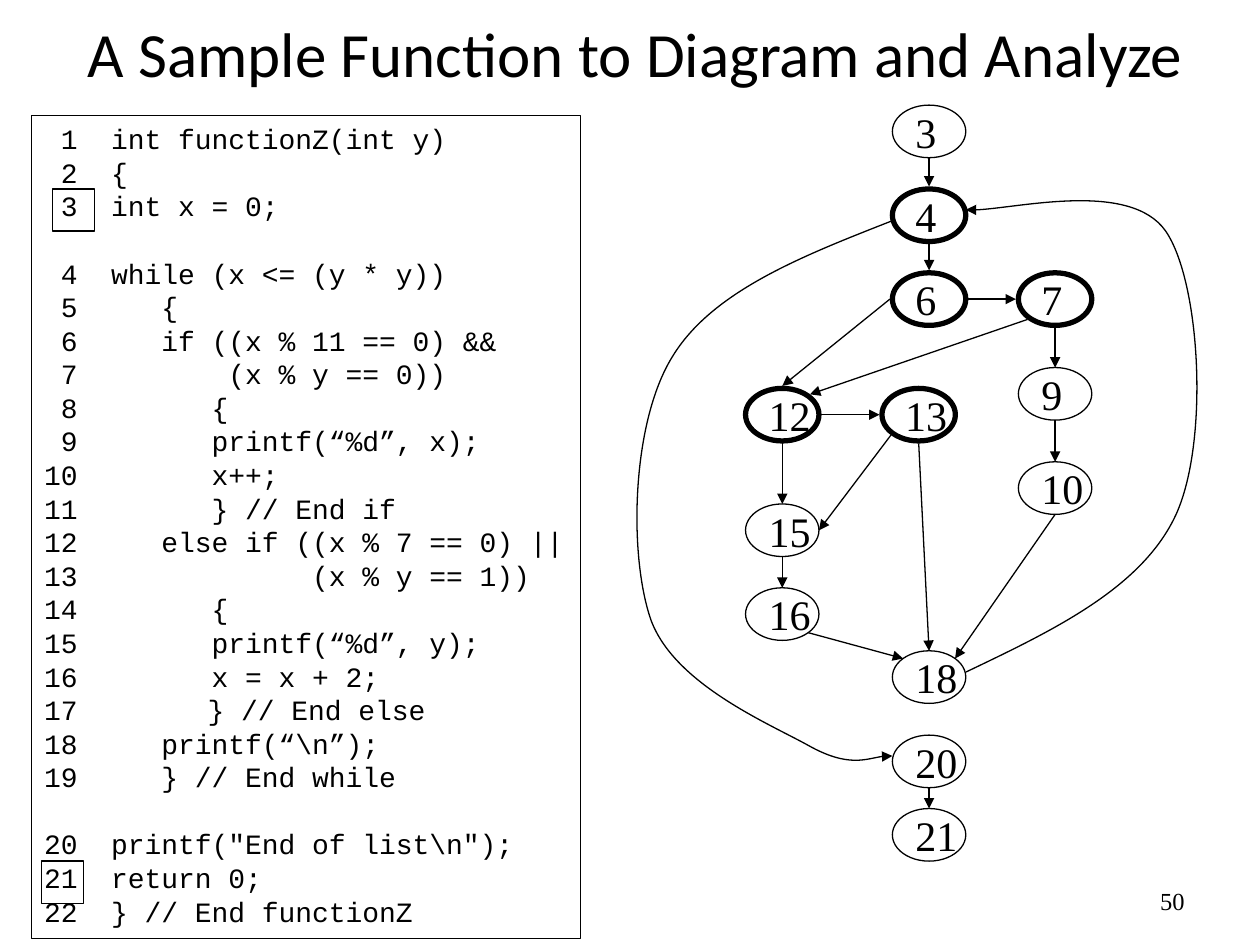
from math import sqrt

from lxml.etree import SubElement
from pptx import Presentation
from pptx.dml.color import RGBColor
from pptx.enum.shapes import MSO_CONNECTOR, MSO_SHAPE
from pptx.enum.text import MSO_ANCHOR as Anchor, PP_ALIGN as Align
from pptx.oxml.ns import qn
from pptx.util import Cm, Pt

BLACK = RGBColor(0, 0, 0)
THIN, THICK = 0.75, 3
CODE_FONT, NODE_FONT, TITLE_FONT = "Courier New", "Times New Roman", "Calibri"
CODE_PITCH = 19.2  # points from one code line to the next

# Content
TITLE = "A Sample Function to Diagram and Analyze"
PAGE_NUMBER = "50"
CODE = r""" 1  int functionZ(int y)
 2  {
 3  int x = 0;
 4  while (x <= (y * y))
 5     {
 6     if ((x % 11 == 0) &&
 7         (x % y == 0))
 8        {
 9        printf(“%d”, x);
10        x++;
11        } // End if
12     else if ((x % 7 == 0) ||
13              (x % y == 1))
14        {
15        printf(“%d”, y);
16        x = x + 2;
      } // End else
18     printf(“\n”);
19     } // End while
20  printf("End of list\n");
21  return 0;
22  } // End functionZ"""
LINES_AFTER_GAP = (4, 20)
AUTO_NUMBERED_LINE = 17
MARKED_LINES = [(1.06, 3.81), (0.84, 17.36)]  # squares around 3 and 21

# Flow graph: node -> left, top (cm)
NODE_WIDTH, NODE_HEIGHT = 1.48, 1.06
NODES = {
    3: (17.99, 2.12), 4: (17.99, 3.81), 6: (17.99, 5.5), 7: (20.53, 5.5),
    9: (20.53, 7.41), 10: (20.53, 9.31), 12: (15.03, 7.83), 13: (17.78, 7.83),
    15: (15.03, 10.16), 16: (15.03, 11.85), 18: (17.99, 13.12),
    20: (17.99, 14.82), 21: (17.99, 16.3),
}
DECISIONS = {4, 6, 7, 12, 13}
EDGES = [
    (3, "bottom", 4, "top"), (4, "bottom", 6, "top"), (6, "right", 7, "left"),
    (7, "bottom", 9, "top"), (9, "bottom", 10, "top"),
    (10, "bottom", 18, "top right"), (6, "left", 12, "top"),
    (12, "bottom", 15, "top"), (12, "right", 13, "left"),
    (13, "bottom left", 15, "right"), (15, "bottom", 16, "top"),
    (16, "bottom right", 18, "top left"), (20, "bottom", 21, "top"),
    (7, "bottom left", 12, "top right"), (13, "bottom", 18, "top"),
]
# Bezier curves: a start, then two control points and an end per segment (cm)
LOOP_BACK = [
    (19.47, 13.55), (21.25, 12.7), (23.03, 11.85), (23.71, 10.37),
    (24.38, 8.89), (24.2, 5.68), (23.5, 4.66),
    (22.78, 3.63), (20.15, 4.29), (19.47, 4.23),
]
LOOP_EXIT = [
    (17.99, 4.45), (16.18, 5.16), (14.35, 5.87), (13.55, 7.2),
    (12.73, 8.53), (12.67, 11.18), (13.12, 12.49),
    (13.59, 13.79), (15.49, 14.58), (16.3, 15.03),
    (17.12, 15.49), (17.7, 15.21), (17.99, 15.24),
]

deck = Presentation()
deck.slide_width, deck.slide_height = Cm(25.4), Cm(19.05)
page = deck.slides.add_slide(deck.slide_layouts[6])


def write(box, text, font, size, align=Align.LEFT, anchor=Anchor.MIDDLE, wrap=False):
    """Put one paragraph per line of text into a shape."""
    frame = box.text_frame
    frame.word_wrap, frame.vertical_anchor = wrap, anchor
    for number, line in enumerate(text.split("\n")):
        para = frame.add_paragraph() if number else frame.paragraphs[0]
        para.alignment = align
        span = para.add_run()
        span.text = line
        span.font.name, span.font.size = font, Pt(size)
        span.font.color.rgb = BLACK
    return frame.paragraphs


def outline(kind, left, top, width, height, weight=THIN):
    shape = page.shapes.add_shape(kind, Cm(left), Cm(top), Cm(width), Cm(height))
    shape.shadow.inherit = False
    shape.fill.background()
    shape.line.color.rgb, shape.line.width = BLACK, Pt(weight)
    return shape


def add_arrowhead(shape):
    shape.line.color.rgb, shape.line.width = BLACK, Pt(THIN)
    SubElement(shape.line._get_or_add_ln(), qn("a:tailEnd"), type="triangle")


def hang(para):
    props = para._p.get_or_add_pPr()
    props.set("marL", str(Cm(1.27)))
    props.set("indent", str(Cm(-1.27)))
    return props


def node_site(node, side):
    """Point on a node's rim, just outside a thick line."""
    across = ("right" in side) - ("left" in side)
    down = ("bottom" in side) - ("top" in side)
    reach = 1 / sqrt(across ** 2 + down ** 2)
    gap = 0.05 if node in DECISIONS else 0
    left, top = NODES[node]
    return (Cm(left + NODE_WIDTH / 2 + across * reach * (NODE_WIDTH / 2 + gap)),
            Cm(top + NODE_HEIGHT / 2 + down * reach * (NODE_HEIGHT / 2 + gap)))


def add_curve(controls):
    """Lay out the control polygon, then turn each three legs into a Bezier."""
    start, *others = [(Cm(x), Cm(y)) for x, y in controls]
    builder = page.shapes.build_freeform(*start)
    builder.add_line_segments(others, close=False)
    curve = builder.convert_to_shape()
    legs = list(curve._element.iter(qn("a:lnTo")))
    outline_element = legs[0].getparent()
    for first in range(0, len(legs), 3):
        bezier = SubElement(outline_element, qn("a:cubicBezTo"))
        for leg in legs[first:first + 3]:
            bezier.append(leg[0])
            outline_element.remove(leg)
    curve.shadow.inherit = False
    curve.fill.background()
    add_arrowhead(curve)


# Title and page number
title = page.shapes.add_textbox(Cm(0.64), Cm(0), Cm(24.33), Cm(2.12))
write(title, TITLE, TITLE_FONT, 36, align=Align.CENTER, wrap=True)
number_box = page.shapes.add_textbox(Cm(18.21), Cm(17.65), Cm(5.92), Cm(1.02))
write(number_box, PAGE_NUMBER, NODE_FONT, 14, align=Align.RIGHT, wrap=True)

# Code listing
listing = outline(MSO_SHAPE.RECTANGLE, 0.64, 2.33, 11.07, 16.59)
code_paras = write(listing, CODE, CODE_FONT, 16, anchor=Anchor.TOP)
for line_number, para in enumerate(code_paras, 1):
    para.line_spacing = Pt(CODE_PITCH)
    if line_number in LINES_AFTER_GAP:
        para.space_before = Pt(CODE_PITCH)
    props = hang(para)
    if line_number == AUTO_NUMBERED_LINE:
        SubElement(props, qn("a:buFont"), typeface=CODE_FONT)
        SubElement(props, qn("a:buAutoNum"), type="arabicPlain",
                   startAt=str(line_number))

# Graph nodes
for node, (left, top) in NODES.items():
    weight = THICK if node in DECISIONS else THIN
    ellipse = outline(MSO_SHAPE.OVAL, left, top, NODE_WIDTH, NODE_HEIGHT, weight)
    write(ellipse, str(node), NODE_FONT, 24)

# Straight edges
for source, source_side, target, target_side in EDGES:
    edge = page.shapes.add_connector(MSO_CONNECTOR.STRAIGHT,
                                     *node_site(source, source_side),
                                     *node_site(target, target_side))
    add_arrowhead(edge)
    SubElement(edge._element.spPr, qn("a:effectLst"))

# Curved edges
for controls in (LOOP_BACK, LOOP_EXIT):
    add_curve(controls)

# Squares around the entry and exit lines
for left, top in MARKED_LINES:
    outline(MSO_SHAPE.RECTANGLE, left, top, 0.85, 0.85)

deck.save("out.pptx")
